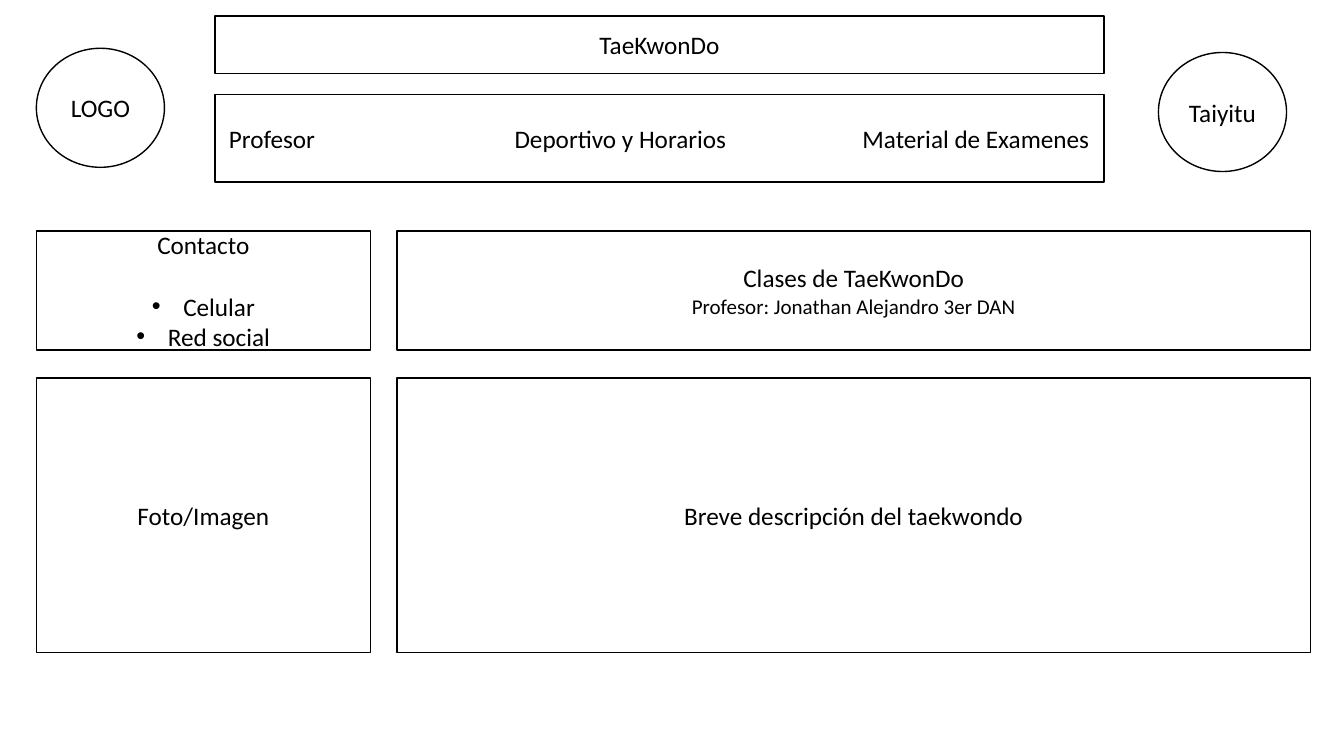
"""Build a wireframe slide for a TaeKwonDo class page."""
from lxml.etree import SubElement
from pptx import Presentation
from pptx.dml.color import RGBColor
from pptx.enum.shapes import MSO_SHAPE as SHAPE
from pptx.enum.text import MSO_ANCHOR, PP_ALIGN as ALIGN
from pptx.oxml.ns import qn
from pptx.util import Pt

COLORS = {"paper": "FFFFFF", "ink": "000000"}

presentation = Presentation()
presentation.slide_width, presentation.slide_height = Pt(960), Pt(540)
slide = presentation.slides.add_slide(presentation.slide_layouts[6])


def write_line(paragraph, text, size=18, align=ALIGN.CENTER, after=0):
    paragraph.alignment = align
    paragraph.space_after = Pt(after)
    run = paragraph.add_run()
    run.text = text
    run.font.name = "Calibri"
    run.font.size = Pt(size)
    run.font.color.rgb = RGBColor.from_string(COLORS["ink"])
    return paragraph


def add_box(left, top, width, height, kind=SHAPE.RECTANGLE):
    shape = slide.shapes.add_shape(kind, Pt(left), Pt(top), Pt(width), Pt(height))
    shape.shadow.inherit = False
    shape.fill.solid()
    shape.fill.fore_color.rgb = RGBColor.from_string(COLORS["paper"])
    shape.line.color.rgb = RGBColor.from_string(COLORS["ink"])
    shape.line.width = Pt(1)
    shape.text_frame.word_wrap = True
    shape.text_frame.vertical_anchor = MSO_ANCHOR.MIDDLE
    return shape.text_frame


for text, left, top in [("LOGO", 26, 34.5), ("Taiyitu", 827.5, 37.5)]:
    circle = add_box(left, top, 91.5, 85, SHAPE.FLOWCHART_CONNECTOR)
    write_line(circle.paragraphs[0], text)

header_left, header_width = 153.5, 635
title = add_box(header_left, 11.5, header_width, 41)
write_line(title.paragraphs[0], "TaeKwonDo")

menu = add_box(header_left, 67.5, header_width, 62.5)
menu.margin_left = Pt(10)
menu_items = ["Profesor", "Deportivo y Horarios", "Material de Examenes"]
menu_line = write_line(menu.paragraphs[0], "\t".join(menu_items), align=ALIGN.LEFT)
tab_list = SubElement(menu_line._p.get_or_add_pPr(), qn("a:tabLst"))
for position in (204, 452.5):
    SubElement(tab_list, qn("a:tab"), pos=str(Pt(position)), algn="l")

side_left, side_width = 26, 238.5
main_left, main_width = 283.5, 652.5
upper_top, upper_height = 165, 85
lower_top, lower_height = 270, 196

contact = add_box(side_left, upper_top, side_width, upper_height)
write_line(contact.paragraphs[0], "Contacto", after=22)
for channel in ("Celular", "Red social"):
    item = write_line(contact.add_paragraph(), channel)
    properties = item._p.get_or_add_pPr()
    properties.set("marL", str(Pt(22.5)))
    properties.set("indent", str(-Pt(22.5)))
    SubElement(properties, qn("a:buFont"), typeface="Arial")
    SubElement(properties, qn("a:buChar"), char="•")

classes = add_box(main_left, upper_top, main_width, upper_height)
write_line(classes.paragraphs[0], "Clases de TaeKwonDo")
write_line(classes.add_paragraph(), "Profesor: Jonathan Alejandro 3er DAN", size=15)

for text, left, width in [
    ("Foto/Imagen", side_left, side_width),
    ("Breve descripción del taekwondo", main_left, main_width),
]:
    panel = add_box(left, lower_top, width, lower_height)
    write_line(panel.paragraphs[0], text)

presentation.save("out.pptx")
